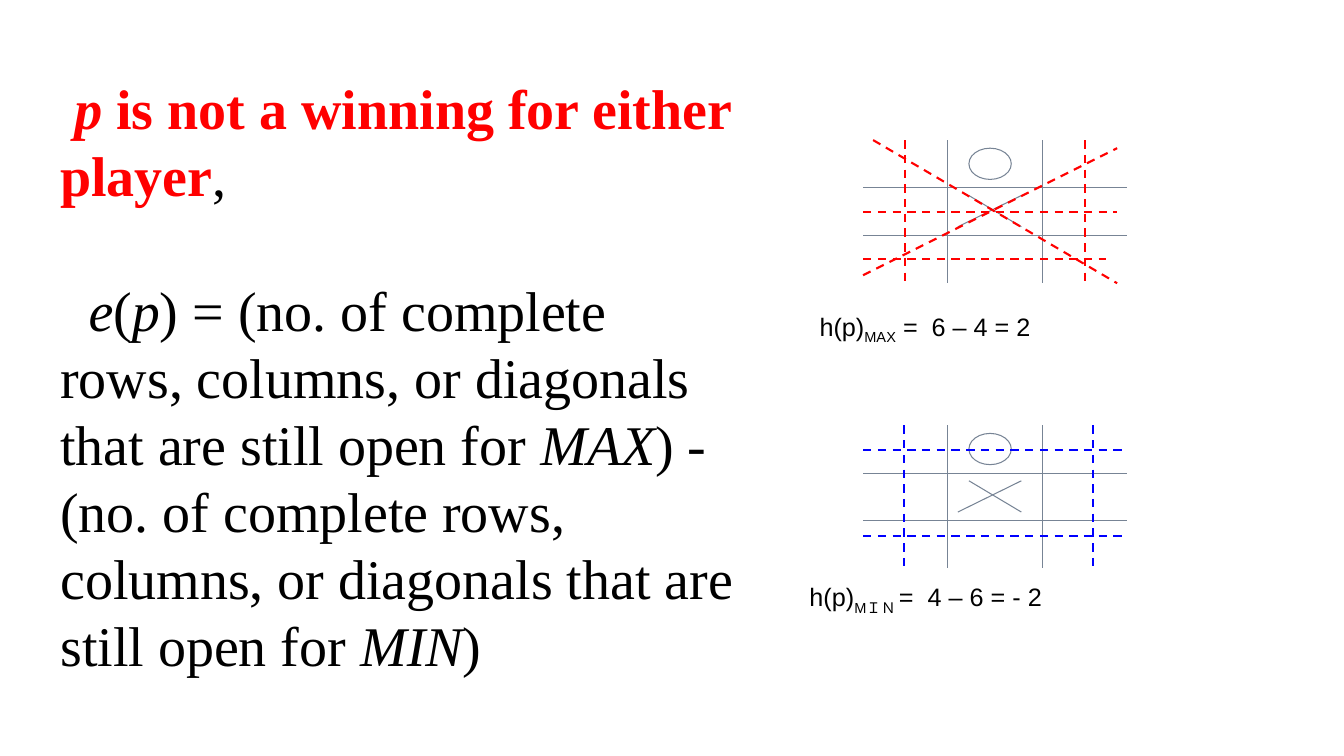
from lxml import etree
from pptx import Presentation
from pptx.dml.color import RGBColor
from pptx.enum.dml import MSO_LINE_DASH_STYLE as DASH
from pptx.enum.shapes import MSO_CONNECTOR, MSO_SHAPE
from pptx.oxml.ns import qn
from pptx.util import Inches, Pt

COLORS = {"board": "778495", "max": "FF0000", "min": "0000FF", "text": "000000"}

# Board geometry: left edge, right edge, height; marks relative to its top
LEFT, RIGHT, HEIGHT = 8.56, 11.18, 1.42
COLUMN_LINES = (9.4, 10.34)
ROW_LINES = (HEIGHT / 3, HEIGHT * 2 / 3)
CROSS = ((9.5, 0.86, 10.13, 0.55), (9.61, 0.55, 10.13, 0.86))

# Lines still open for each player: x1, y1, x2, y2, with y from the board's top
OPEN_FOR_MAX = (
    (8.98, 0, 8.98, HEIGHT),
    (10.76, 0, 10.76, HEIGHT),
    (LEFT, 0.71, 11.08, 0.71),
    (LEFT, 1.18, 10.97, 1.18),
    (LEFT, 1.34, 11.08, 0.08),
    (8.66, 0, 11.08, HEIGHT),
)
OPEN_FOR_MIN = (
    (LEFT, 0.24, RIGHT, 0.24),
    (LEFT, 1.1, RIGHT, 1.1),
    (8.97, 0, 8.97, HEIGHT),
    (10.84, 0, 10.84, HEIGHT),
)

# Runs of the statement: text, style letters (b bold, i italic, r red)
CONDITION = (("p", "bir"), (" is not a winning for either player", "br"), (",", ""))
DEFINITION = (
    ("e", "i"), ("(", ""), ("p", "i"),
    (") = (no. of complete rows, columns, or diagonals that are still open for ", ""),
    ("MAX", "i"),
    (") - (no. of complete rows, columns, or diagonals that are still open for ", ""),
    ("MIN", "i"), (")", ""),
)


def color(name):
    return RGBColor.from_string(COLORS[name])


def add_line(slide, x1, y1, x2, y2, name, width=0.75, dash=None):
    line = slide.shapes.add_connector(
        MSO_CONNECTOR.STRAIGHT, Inches(x1), Inches(y1), Inches(x2), Inches(y2))
    line.line.color.rgb = color(name)
    line.line.width = Pt(width)
    if dash:
        line.line.dash_style = dash
    etree.SubElement(line._element.spPr, qn("a:effectLst"))


def add_board(slide, top):
    for y in ROW_LINES:
        add_line(slide, LEFT, top + y, RIGHT, top + y, "board")
    for x in COLUMN_LINES:
        add_line(slide, x, top, x, top + HEIGHT, "board")
    for x1, y1, x2, y2 in CROSS:
        add_line(slide, x1, top + y1, x2, top + y2, "board")
    nought = slide.shapes.add_shape(
        MSO_SHAPE.OVAL, Inches(9.61), Inches(top + 0.08), Inches(0.42), Inches(0.31))
    nought.shadow.inherit = False
    nought.fill.background()
    nought.line.color.rgb = color("board")
    nought.line.width = Pt(0.75)


def add_open_lines(slide, top, lines, name):
    for x1, y1, x2, y2 in lines:
        add_line(slide, x1, top + y1, x2, top + y2, name, 1.5, DASH.DASH)


def add_frame(slide, left, top, width, height):
    box = slide.shapes.add_textbox(
        Inches(left), Inches(top), Inches(width), Inches(height))
    box.text_frame.word_wrap = True
    return box.text_frame


def add_run(paragraph, text, size, font, name="text"):
    run = paragraph.add_run()
    run.text = text
    run.font.size = Pt(size)
    run.font.name = font
    run.font.color.rgb = color(name)
    return run


def add_caption(slide, left, top, width, player, value):
    paragraph = add_frame(slide, left, top, width, 0.4).paragraphs[0]
    add_run(paragraph, "h(p)", 18, "Arial")
    subscript = add_run(paragraph, player, 18, "Arial")
    subscript.font._element.set("baseline", "-25000")
    add_run(paragraph, value, 18, "Arial")


def fill_statement(paragraph, runs, indent):
    paragraph.line_spacing = Pt(48)
    paragraph._p.get_or_add_pPr().set("indent", str(Inches(indent)))
    for text, style in runs:
        run = add_run(paragraph, text, 40, "Times New Roman",
                      "max" if "r" in style else "text")
        run.font.bold = "b" in style
        run.font.italic = "i" in style


def main():
    prs = Presentation()
    prs.slide_width, prs.slide_height = Inches(13.33), Inches(7.5)
    slide = prs.slides.add_slide(prs.slide_layouts[6])

    # Board with the lines open for MAX
    max_top = 1.39
    add_board(slide, max_top)
    add_open_lines(slide, max_top, OPEN_FOR_MAX, "max")
    add_caption(slide, 8.03, 3.04, 3.99, "MAX", " =  6 – 4 = 2")

    # Board with the lines open for MIN
    min_top = 4.22
    add_board(slide, min_top)
    add_open_lines(slide, min_top, OPEN_FOR_MIN, "min")
    add_caption(slide, 7.93, 5.72, 4.31, "MＩＮ ", "=  4 – 6 = - 2")

    # Evaluation function
    statement = add_frame(slide, 0.5, 0.68, 6.93, 6.16)
    fill_statement(statement.paragraphs[0], CONDITION, 0.14)
    definition = statement.add_paragraph()
    definition.space_before = Pt(48)
    fill_statement(definition, DEFINITION, 0.28)

    prs.save("out.pptx")


if __name__ == "__main__":
    main()
